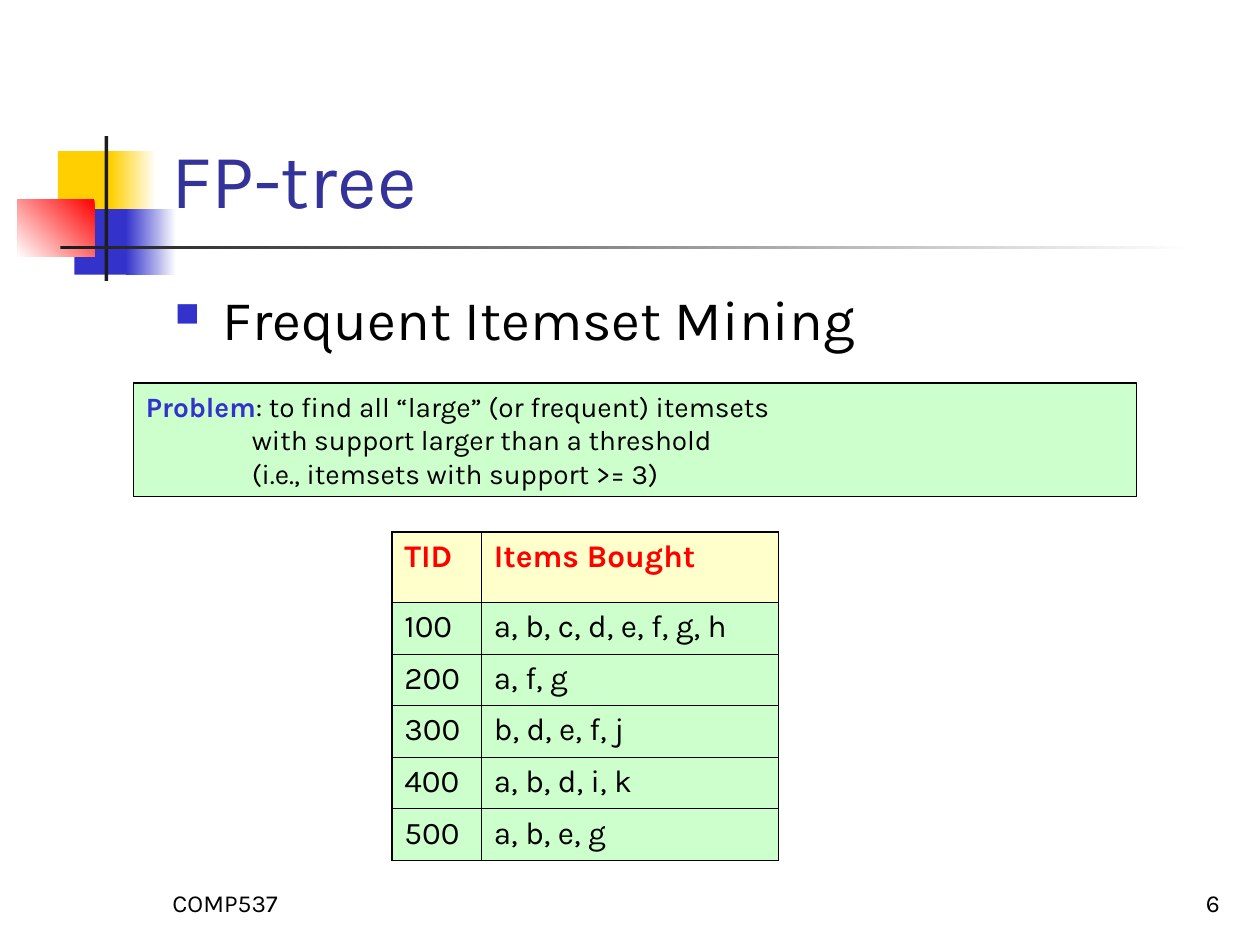
"""Build the FP-tree slide on frequent itemset mining."""
from dataclasses import dataclass

from lxml.etree import SubElement
from pptx import Presentation
from pptx.dml.color import RGBColor
from pptx.enum.shapes import MSO_SHAPE
from pptx.enum.text import MSO_ANCHOR, PP_ALIGN
from pptx.oxml.ns import qn
from pptx.util import Inches, Pt


@dataclass(frozen=True)
class Theme:
    font: str = "Karla"
    black: str = "000000"
    white: str = "FFFFFF"
    bar: str = "1C1C1C"
    gold: str = "FFCF01"
    blue: str = "3333CC"
    red: str = "FF0000"
    navy: str = "333399"
    mint: str = "CCFFCC"
    cream: str = "FFFFCC"
    title: int = 44
    body: int = 32
    cell: int = 18
    note: int = 16
    foot: int = 14
    thick: float = 1.08
    thin: float = 0.45


class Deck:
    def __init__(self, theme):
        self.theme = theme
        self.file = Presentation()
        self.file.slide_width, self.file.slide_height = Inches(10), Inches(7.5)
        self.slide = self.file.slides.add_slide(self.file.slide_layouts[6])

    def style(self, para, size, color, bold=False):
        font = para.font
        font.name, font.size, font.bold = self.theme.font, Pt(size), bold
        font.color.rgb = RGBColor.from_string(color)

    def rect(self, place, color, fade=None):
        shape = self.slide.shapes.add_shape(MSO_SHAPE.RECTANGLE, *map(Inches, place))
        shape.shadow.inherit = False
        shape.line.fill.background()
        if fade is None:
            shape.fill.solid()
            shape.fill.fore_color.rgb = RGBColor.from_string(color)
        else:
            shape.fill.gradient()
            shape.fill.gradient_angle = fade
            for stop, tone in zip(shape.fill.gradient_stops, (color, self.theme.white)):
                stop.color.rgb = RGBColor.from_string(tone)
        return shape

    def text(self, place, words, size, color, anchor=MSO_ANCHOR.BOTTOM,
             align=PP_ALIGN.LEFT, bullet=None):
        frame = self.slide.shapes.add_textbox(*map(Inches, place)).text_frame
        frame.word_wrap, frame.vertical_anchor = True, anchor
        para = frame.paragraphs[0]
        para.text, para.alignment = words, align
        if bullet:
            self.bullet(para, bullet)
        self.style(para, size, color)

    def indent(self, para, left, first):
        props = para._p.get_or_add_pPr()
        props.set("marL", str(Inches(left)))
        props.set("indent", str(Inches(first)))
        return props

    def bullet(self, para, color):
        props = self.indent(para, 0.38, -0.38)
        tone = SubElement(props, qn("a:buClr"))
        SubElement(tone, qn("a:srgbClr"), val=color)
        SubElement(props, qn("a:buSzPct"), val="60000")
        SubElement(props, qn("a:buChar"), char="■")

    def note(self, place, head, first, last):
        theme = self.theme
        shape = self.rect(place, theme.mint)
        shape.line.color.rgb = RGBColor.from_string(theme.black)
        shape.line.width = Pt(0.75)
        frame = shape.text_frame
        frame.word_wrap, frame.vertical_anchor = True, MSO_ANCHOR.TOP
        top, end = frame.paragraphs[0], frame.add_paragraph()
        top.text, end.text = head, last
        for para, hang in ((top, -0.84), (end, 0)):
            para.alignment = PP_ALIGN.LEFT
            self.indent(para, 0.84, hang)
            self.style(para, theme.note, theme.black)
        label = top.runs[0].font
        label.bold, label.color.rgb = True, RGBColor.from_string(theme.blue)
        for count, line in enumerate(first):
            if count:
                top.add_line_break()
            top.add_run().text = line

    def border(self, cell, widths):
        props = cell._tc.get_or_add_tcPr()
        for side, width in zip("LRTB", widths):
            line = SubElement(props, qn(f"a:ln{side}"), w=str(Pt(width)))
            fill = SubElement(line, qn("a:solidFill"))
            SubElement(fill, qn("a:srgbClr"), val=self.theme.black)

    def table(self, place, rows, widths, heights):
        theme = self.theme
        size = len(rows), len(widths)
        grid = self.slide.shapes.add_table(*size, *map(Inches, place)).table
        grid.first_row = grid.horz_banding = False
        for part, lengths in ((grid.columns, widths), (grid.rows, heights)):
            for item, length in zip(part, lengths):
                if part is grid.columns:
                    item.width = Inches(length)
                else:
                    item.height = Inches(length)
        for i, row in enumerate(rows):
            for j, words in enumerate(row):
                cell = grid.cell(i, j)
                edges = j == 0, j == size[1] - 1, i == 0, i == size[0] - 1
                self.border(cell, [theme.thick if edge else theme.thin for edge in edges])
                cell.fill.solid()
                back, ink = (theme.mint, theme.black) if i else (theme.cream, theme.red)
                cell.fill.fore_color.rgb = RGBColor.from_string(back)
                cell.text = words
                self.style(cell.text_frame.paragraphs[0], theme.cell, ink, i == 0)


def main():
    theme = Theme()
    deck = Deck(theme)
    deck.rect((0.46, 1.2, 0.48, 0.52), theme.gold)
    deck.rect((0.88, 1.2, 0.36, 0.52), theme.gold, 0)
    deck.rect((0.59, 1.66, 0.46, 0.52), theme.blue)
    deck.rect((1, 1.66, 0.4, 0.52), theme.blue, 0)
    deck.rect((0.14, 1.58, 0.61, 0.46), theme.red, 225)
    deck.rect((0.83, 1.08, 0.03, 1.15), theme.bar)
    deck.rect((0.48, 1.95, 9, 0.03), theme.bar, 0)
    deck.text((1.26, 0.23, 8.52, 1.6), "FP-tree", theme.title, theme.navy)
    deck.text((1.29, 2.21, 8.5, 4.5), "Frequent Itemset Mining", theme.body,
              theme.black, MSO_ANCHOR.TOP, bullet=theme.blue)
    deck.note((1.06, 3.04, 7.96, 0.9), "Problem",
              (": to find all “large” (or frequent) itemsets",
               "with support larger than a threshold"),
              "(i.e., itemsets with support >= 3)")
    rows = (
        ("TID", "Items Bought"),
        ("100", "a, b, c, d, e, f, g, h"),
        ("200", "a, f, g"),
        ("300", "b, d, e, f, j"),
        ("400", "a, b, d, i, k"),
        ("500", "a, b, e, g"),
    )
    deck.table((3.11, 4.22, 3.07, 2.61), rows, (0.71, 2.36), [0.56] + [0.41] * 5)
    deck.text((7.7, 6.83, 2.08, 0.5), "6", theme.foot, theme.black, align=PP_ALIGN.RIGHT)
    deck.text((1.27, 6.83, 2.08, 0.5), "COMP537", theme.foot, theme.black)
    deck.file.save("out.pptx")


if __name__ == "__main__":
    main()
